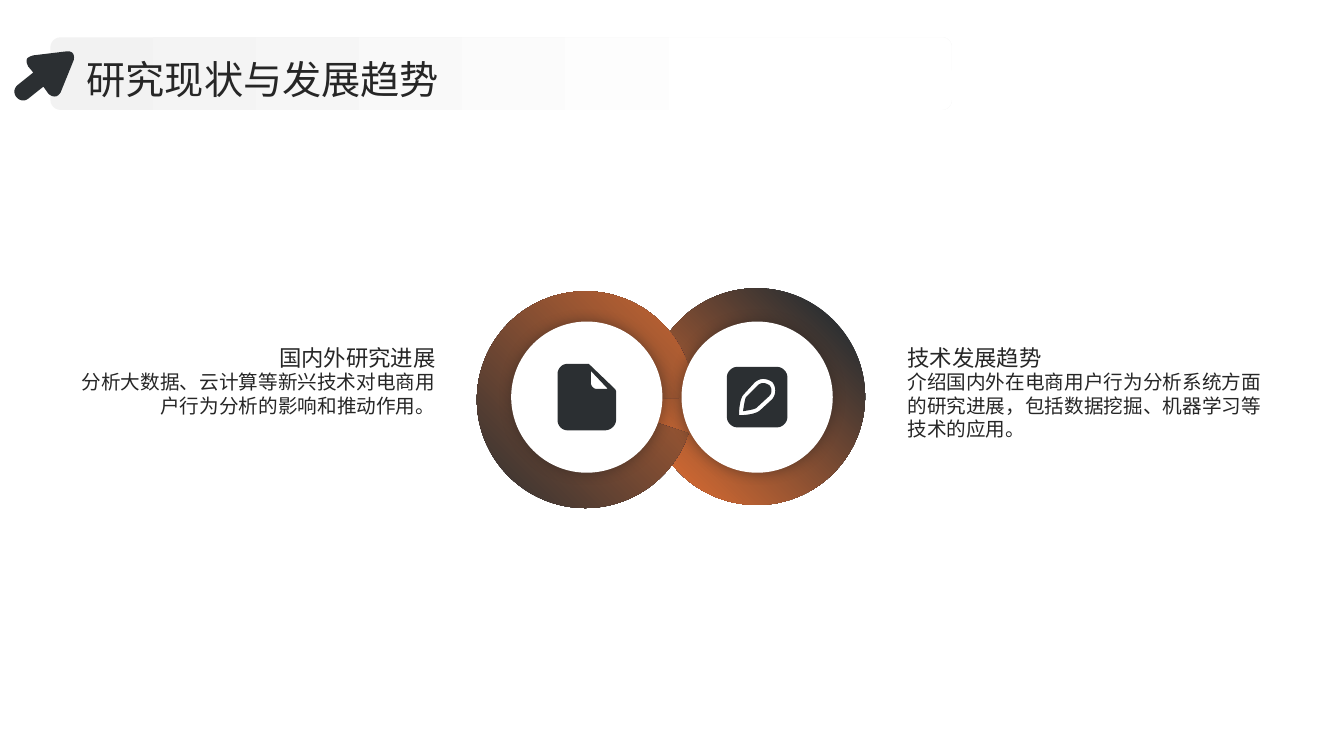
"""Build the slide on research status and development trends."""
from dataclasses import dataclass

from lxml import etree
from pptx import Presentation
from pptx import util as u
from pptx.dml.color import RGBColor
from pptx.enum import shapes, text
from pptx.oxml import parse_xml
from pptx.oxml.ns import qn

FONT = "Noto Sans CJK SC"
INK = RGBColor(0x26, 0x26, 0x26)
DARK = RGBColor(0x2B, 0x2F, 0x32)
ORANGE = RGBColor(0xE9, 0x71, 0x32)
PALE = RGBColor(0xF2, 0xF2, 0xF2)
WHITE = RGBColor(0xFF, 0xFF, 0xFF)
SHADOW = (
    '<a:effectLst xmlns:a="http://schemas.openxmlformats.org/drawingml/2006/main">'
    '<a:outerShdw blurRad="127000" dist="0" dir="0" algn="ctr" rotWithShape="0">'
    '<a:srgbClr val="161819"><a:alpha val="40000"/></a:srgbClr>'
    "</a:outerShdw></a:effectLst>"
)
Contour = list[tuple[float, ...]]


@dataclass
class Box:
    left: float
    top: float
    width: float
    height: float

    def lengths(self) -> list[int]:
        return [u.Inches(n) for n in (self.left, self.top, self.width, self.height)]


@dataclass
class Gradient:
    start: tuple[float, RGBColor]
    end: tuple[float, RGBColor]
    angle: float = 0


@dataclass
class Label:
    holder: int
    words: str
    box: Box
    size: float
    align: text.PP_ALIGN
    anchor: text.MSO_ANCHOR


@dataclass
class Ring:
    box: Box
    adjustments: tuple[float, float, float]
    angle: float
    rotation: float = 0
    mirrored: bool = False


RINGS = [
    Ring(Box(6.43, 2.86, 2.15, 2.15), (215.33, 201.31, 0.16), 315, mirrored=True),
    Ring(Box(4.73, 2.89, 2.15, 2.15), (37.81, 26.39, 0.24), 0, rotation=315),
]
DISCS = [Box(left, 3.19, 1.5, 1.5) for left in (5.07, 6.76)]
BANNER = Box(0.5, 0.37, 8.94, 0.72)

FILE_ICON: list[Contour] = [
    [(5.86, 3.68), (5.86, 3.8), (5.86, 3.83, 5.89, 3.86, 5.92, 3.86), (6.03, 3.86)],
    [(5.63, 3.61), (5.84, 3.61), (5.85, 3.62), (6.1, 3.86), (6.11, 3.88),
     (6.11, 4.17), (6.11, 4.22, 6.06, 4.27, 6, 4.27), (5.63, 4.27),
     (5.57, 4.27, 5.53, 4.22, 5.53, 4.17), (5.53, 3.71),
     (5.53, 3.66, 5.57, 3.61, 5.63, 3.61)],
]
PENCIL_ICON: list[Contour] = [
    [(7.57, 3.8), (7.59, 3.8, 7.61, 3.81, 7.63, 3.82),
     (7.66, 3.85, 7.66, 3.9, 7.63, 3.93), (7.51, 4.04),
     (7.5, 4.06, 7.43, 4.07, 7.37, 4.08), (7.38, 4.02, 7.39, 3.95, 7.4, 3.94),
     (7.52, 3.82), (7.53, 3.81, 7.55, 3.8, 7.57, 3.8)],
    [(7.57, 3.76), (7.54, 3.76, 7.52, 3.77, 7.49, 3.79), (7.38, 3.91),
     (7.33, 3.95, 7.33, 4.12, 7.33, 4.12), (7.33, 4.12, 7.49, 4.12, 7.54, 4.07),
     (7.66, 3.96), (7.7, 3.91, 7.7, 3.84, 7.66, 3.79),
     (7.63, 3.77, 7.6, 3.76, 7.57, 3.76)],
    [(7.31, 3.64), (7.71, 3.64), (7.76, 3.64, 7.81, 3.69, 7.81, 3.74), (7.81, 4.14),
     (7.81, 4.19, 7.76, 4.24, 7.71, 4.24), (7.31, 4.24),
     (7.26, 4.24, 7.21, 4.19, 7.21, 4.14), (7.21, 3.74),
     (7.21, 3.69, 7.26, 3.64, 7.31, 3.64)],
]
ARROW_ICON: list[Contour] = [
    [(0.27, 0.58), (0.26, 0.6, 0.26, 0.62, 0.28, 0.66), (0.33, 0.72), (0.18, 0.84),
     (0.14, 0.87, 0.13, 0.92, 0.16, 0.96), (0.19, 1, 0.24, 1.01, 0.28, 0.98),
     (0.43, 0.86), (0.48, 0.93), (0.48, 0.93, 0.55, 1, 0.6, 0.92), (0.73, 0.6),
     (0.73, 0.6, 0.76, 0.5, 0.66, 0.51), (0.33, 0.55),
     (0.33, 0.55, 0.29, 0.56, 0.27, 0.58)],
]
LEFT, RIGHT = text.PP_ALIGN.LEFT, text.PP_ALIGN.RIGHT
TOP, MIDDLE, BOTTOM = text.MSO_ANCHOR.TOP, text.MSO_ANCHOR.MIDDLE, text.MSO_ANCHOR.BOTTOM
LABELS = [
    Label(0, "研究现状与发展趋势", Box(0.86, 0.53, 11.67, 0.51), 28, LEFT, MIDDLE),
    Label(1, "国内外研究进展", Box(0.72, 3.14, 3.6, 0.54), 16, RIGHT, BOTTOM),
    Label(2, "分析大数据、云计算等新兴技术对电商用户行为分析的影响和推动作用。",
          Box(0.72, 3.67, 3.6, 2.04), 14, RIGHT, TOP),
    Label(3, "技术发展趋势", Box(9, 3.14, 3.6, 0.54), 16, LEFT, BOTTOM),
    Label(4, "介绍国内外在电商用户行为分析系统方面的研究进展，包括数据挖掘、机器学习等技术的应用。",
          Box(9, 3.67, 3.6, 2.04), 14, LEFT, TOP),
]


def set_all(target, values: dict) -> None:
    for name, value in values.items():
        setattr(target, name, value)


def paint(shape, fill: RGBColor | Gradient) -> None:
    shape.shadow.inherit = False
    shape.line.fill.background()
    if isinstance(fill, Gradient):
        shape.fill.gradient()
        shape.fill.gradient_angle = fill.angle
        for stop, (position, color) in zip(shape.fill.gradient_stops, (fill.start, fill.end)):
            stop.position = position
            stop.color.rgb = color
    else:
        shape.fill.solid()
        shape.fill.fore_color.rgb = fill


def add_ring(page, ring: Ring) -> None:
    shape = page.shapes.add_shape(shapes.MSO_SHAPE.BLOCK_ARC, *ring.box.lengths())
    for index, value in enumerate(ring.adjustments):
        shape.adjustments[index] = value
    shape.rotation = ring.rotation
    if ring.mirrored:
        shape.element.spPr.find(qn("a:xfrm")).set("flipH", "1")
    paint(shape, Gradient((0.13, DARK), (1, ORANGE), ring.angle))


def add_disc(page, box: Box) -> None:
    disc = page.shapes.add_shape(shapes.MSO_SHAPE.OVAL, *box.lengths())
    paint(disc, WHITE)
    properties = disc.element.spPr
    properties.replace(properties.find(qn("a:effectLst")), parse_xml(SHADOW))


def trace(contour: Contour, steps: int = 8) -> list[tuple[int, int]]:
    points = [contour[0]]
    for segment in contour[1:]:
        if len(segment) == 2:
            points.append(segment)
            continue
        corners = [points[-1], segment[:2], segment[2:4], segment[4:]]
        for step in range(1, steps + 1):
            t = step / steps
            weights = ((1 - t) ** 3, 3 * t * (1 - t) ** 2, 3 * t * t * (1 - t), t ** 3)
            points.append(tuple(
                sum(w * corner[axis] for w, corner in zip(weights, corners))
                for axis in (0, 1)))
    return [(u.Inches(x), u.Inches(y)) for x, y in points]


def add_icon(page, contours: list[Contour]) -> None:
    outlines = [trace(contour) for contour in contours]
    builder = page.shapes.build_freeform(*outlines[0][0])
    for index, outline in enumerate(outlines):
        if index:
            builder.move_to(*outline[0])
        builder.add_line_segments(outline[1:], close=True)
    paint(builder.convert_to_shape(), DARK)


def fill_label(page, label: Label) -> None:
    box = page.placeholders[label.holder]
    set_all(box, dict(zip(("left", "top", "width", "height"), label.box.lengths())))
    set_all(box.text_frame, {
        "margin_left": 0, "margin_top": 0, "margin_right": 0, "margin_bottom": 0,
        "word_wrap": True, "auto_size": text.MSO_AUTO_SIZE.NONE,
        "vertical_anchor": label.anchor})
    para = box.text_frame.paragraphs[0]
    layout = para._p.get_or_add_pPr()
    set_all(para, {"alignment": label.align, "space_before": u.Pt(0),
                   "line_spacing": u.Pt(label.size * 1.2)})
    layout.set("marL", "0")
    layout.set("indent", "0")
    etree.SubElement(layout, qn("a:buNone"))
    span = para.add_run()
    span.text = label.words
    set_all(span.font, {"name": FONT, "size": u.Pt(label.size), "bold": False})
    span.font.color.rgb = INK
    etree.SubElement(span.font._element, qn("a:ea")).set("typeface", FONT)
    box.element.getparent().append(box.element)


def main() -> None:
    deck = Presentation()
    set_all(deck, {"slide_width": u.Inches(13.33), "slide_height": u.Inches(7.5)})
    page = deck.slides.add_slide(deck.slide_layouts.get_by_name("Comparison"))
    for ring in RINGS:
        add_ring(page, ring)
    for disc, icon in zip(DISCS, (FILE_ICON, PENCIL_ICON)):
        add_disc(page, disc)
        add_icon(page, icon)
    banner = page.shapes.add_shape(shapes.MSO_SHAPE.ROUNDED_RECTANGLE, *BANNER.lengths())
    banner.adjustments[0] = 0.14
    paint(banner, Gradient((0, PALE), (0.8, WHITE)))
    for label in LABELS:
        fill_label(page, label)
    add_icon(page, ARROW_ICON)
    deck.save("out.pptx")


if __name__ == "__main__":
    main()
